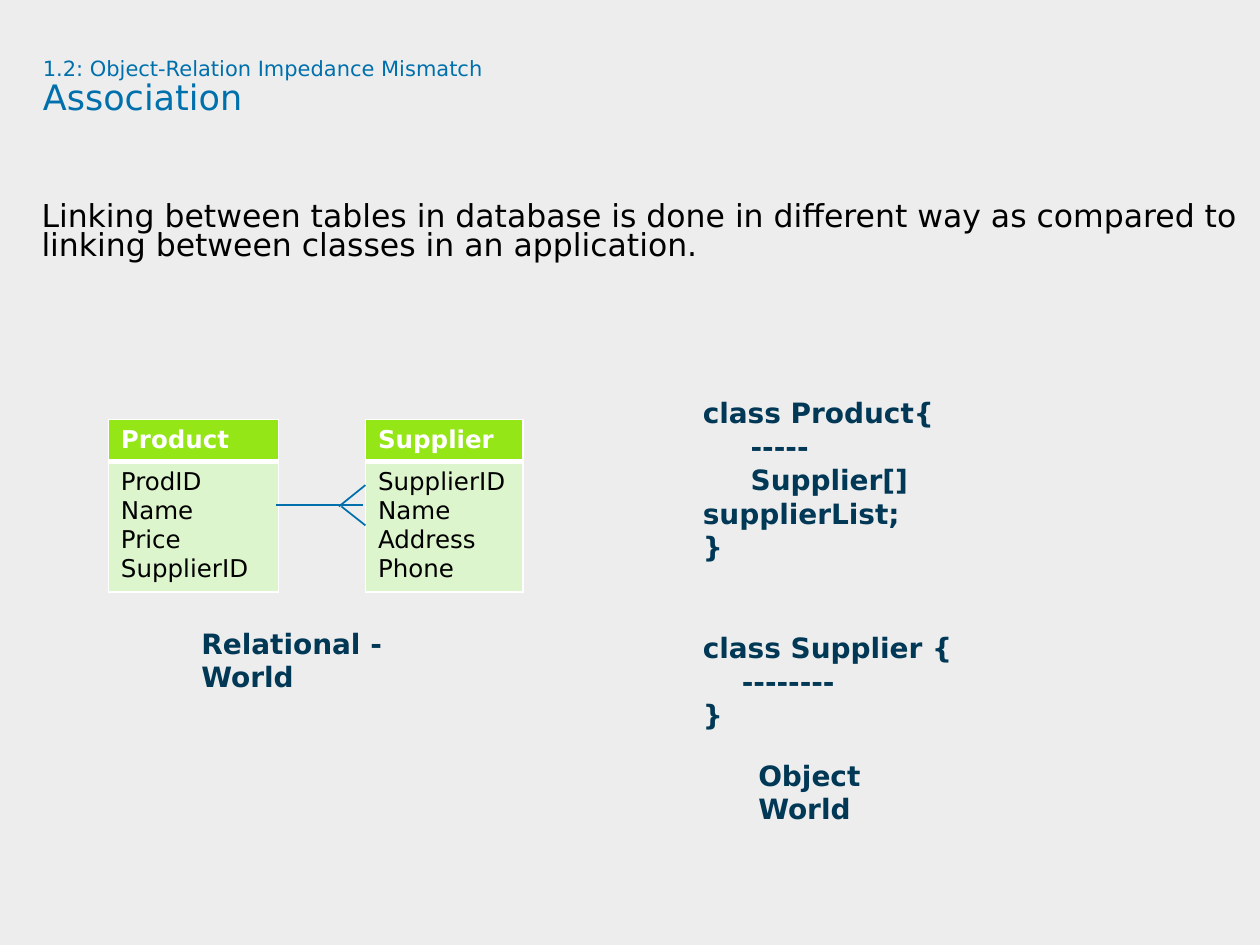
from pptx import Presentation
from pptx.dml.color import RGBColor
from pptx.enum.shapes import MSO_CONNECTOR
from pptx.oxml.ns import qn
from pptx.util import Inches, Pt
from lxml import etree

STRAIGHT = MSO_CONNECTOR.STRAIGHT
THEME = {
    "font": "DejaVu Sans",
    "back": "EDEDED", "blue": "0070AD", "navy": "003856", "black": "000000",
    "white": "FFFFFF", "head": "95E616", "body": "DDF5CC",
    "kicker": 12, "title": 20, "text": 18, "label": 16, "cell": 14,
}


def add_run(p, text, size, color, bold=False):
    r = p.add_run()
    r.text = text
    r.font.name = THEME["font"]
    r.font.size = Pt(THEME[size])
    r.font.bold = bold
    r.font.color.rgb = RGBColor.from_string(THEME[color])


def add_box(x, y, w, h, inset=True):
    tf = s.shapes.add_textbox(Inches(x), Inches(y), Inches(w), Inches(h)).text_frame
    tf.word_wrap = True
    if not inset:
        tf.margin_left = tf.margin_right = tf.margin_top = tf.margin_bottom = 0
    return tf


prs = Presentation()
prs.slide_width, prs.slide_height = Inches(10), Inches(7.5)
s = prs.slides.add_slide(prs.slide_layouts[6])
s.background.fill.solid()
s.background.fill.fore_color.rgb = RGBColor.from_string(THEME["back"])

p = add_box(0.34, 0.46, 9.09, 0.94, inset=False).paragraphs[0]
p.line_spacing = 0.9
add_run(p, "1.2: Object-Relation Impedance Mismatch", "kicker", "blue")
p.add_line_break()
add_run(p, "Association", "title", "blue")

p = add_box(0.33, 1.63, 9.67, 5.08, inset=False).paragraphs[0]
p.line_spacing = Pt(16.5)
p.space_after = Pt(4.5)
add_run(p, "Linking between tables in database is done in different way as compared to "
           "linking between classes in an application.", "text", "black")

entities = [
    (0.86, 1.35, "Product", ["ProdID", "Name", "Price", "SupplierID"]),
    (2.9, 1.25, "Supplier", ["SupplierID", "Name", "Address", "Phone"]),
]
for x, w, name, fields in entities:
    table = s.shapes.add_table(2, 1, Inches(x), Inches(3.33), Inches(w), Inches(1.34)).table
    rows = [(0.33, [name], "head", "white", True, 3), (1.01, fields, "body", "black", False, 1)]
    for i, (h, lines, fill, color, bold, bottom) in enumerate(rows):
        table.rows[i].height = Inches(h)
        cell = table.cell(i, 0)
        tcPr = cell._tc.get_or_add_tcPr()
        for side, width in (("L", 1), ("R", 1), ("T", 3 if i else 1), ("B", bottom)):
            ln = etree.SubElement(tcPr, qn(f"a:ln{side}"), w=str(Pt(width)))
            solid = etree.SubElement(ln, qn("a:solidFill"))
            etree.SubElement(solid, qn("a:srgbClr"), val=THEME["white"])
        cell.fill.solid()
        cell.fill.fore_color.rgb = RGBColor.from_string(THEME[fill])
        tf = cell.text_frame
        for j, line in enumerate(lines):
            p = tf.add_paragraph() if j else tf.paragraphs[0]
            add_run(p, line, "cell", color, bold)

crow_foot = [(2.69, 4.02, 2.9, 3.85), (2.19, 4.01, 2.88, 4.01), (2.71, 4.02, 2.9, 4.17)]
for ends in crow_foot:
    line = s.shapes.add_connector(STRAIGHT, *[Inches(v) for v in ends])
    line.line.color.rgb = RGBColor.from_string(THEME["blue"])
    line.line.width = Pt(1)
    etree.SubElement(line._element.spPr, qn("a:effectLst"))

for x, y, w, text in [(5.92, 5.97, 1.6, "Object World"), (1.5, 4.92, 2.11, "Relational - World")]:
    add_run(add_box(x, y, w, 0.37).paragraphs[0], text, "label", "navy", True)

code = [
    ("class Product{", 0, 0), ("-----", 0.38, 0), ("Supplier[] supplierList;", 0.38, 0), ("}", 0, 0),
    ("class Supplier {", 0, 38.5), ("--------", 0.31, 0), ("}", 0, 0),
]
tf = add_box(5.48, 3.09, 3.23, 2.52)
for i, (text, indent, before) in enumerate(code):
    p = tf.add_paragraph() if i else tf.paragraphs[0]
    p.space_before = Pt(before)
    pPr = p._p.get_or_add_pPr()
    pPr.set("marL", "0")
    pPr.set("indent", str(Inches(indent)))
    add_run(p, text, "label", "navy", True)

prs.save("out.pptx")
